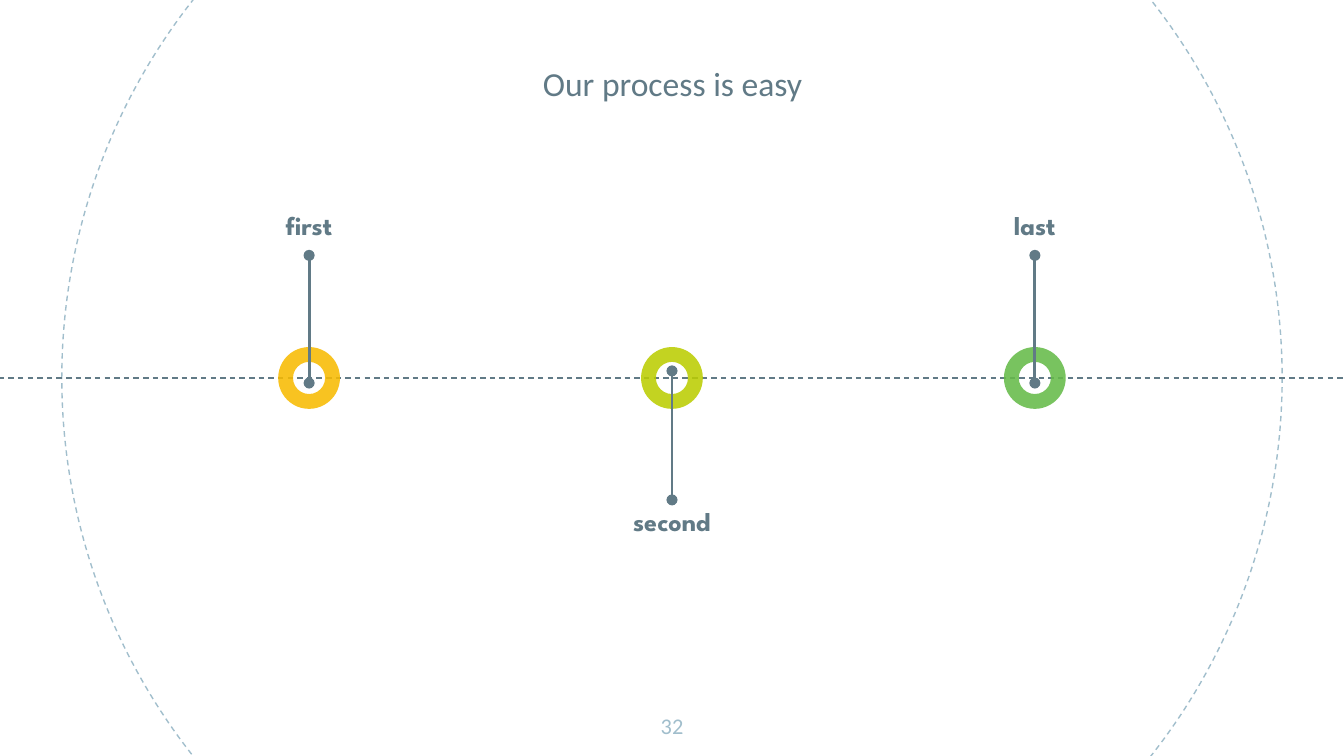
from pptx import Presentation
from pptx.dml.color import RGBColor
from pptx.enum.dml import MSO_LINE_DASH_STYLE as Dash
from pptx.enum.shapes import MSO_CONNECTOR as Connector, MSO_SHAPE as Shape
from pptx.enum.text import MSO_ANCHOR as Anchor, PP_ALIGN as Align
from pptx.oxml.ns import qn
from pptx.util import Inches, Pt
from lxml.etree import SubElement

SLATE, PALE = "617A86", "A1BECC"
WIDTH = 10
HEIGHT = WIDTH * 9 / 16
MIDDLE, AXIS = WIDTH / 2, HEIGHT / 2
STEP = 0.27 * WIDTH
RING = 0.46
hex_color = RGBColor.from_string


def write(box, text, size, font, color, bold=False, anchor=Anchor.TOP):
    frame = box.text_frame
    margins = {f"margin_{side}": Inches(0.1) for side in ("left", "top", "right", "bottom")}
    for name, value in {**margins, "word_wrap": True, "vertical_anchor": anchor}.items():
        setattr(frame, name, value)
    para = frame.paragraphs[0]
    para.alignment = Align.CENTER
    span = para.add_run()
    span.text = text
    for name, value in {"size": Pt(size), "name": font, "bold": bold}.items():
        setattr(span.font, name, value)
    span.font.color.rgb = hex_color(color)


def draw_line(page, start, end, weight, dash=None, dots=False):
    line = page.shapes.add_connector(Connector.STRAIGHT, *map(Inches, start + end))
    line.line.color.rgb = hex_color(SLATE)
    line.line.width = Pt(weight)
    if dash:
        line.line.dash_style = dash
    if dots:
        for tag in ("a:headEnd", "a:tailEnd"):
            SubElement(line.line._get_or_add_ln(), qn(tag), type="oval")
    SubElement(line._element.spPr, qn("a:effectLst"))


deck = Presentation()
deck.slide_width, deck.slide_height = Inches(WIDTH), Inches(HEIGHT)
page = deck.slides.add_slide(deck.slide_layouts[5])

# Large dashed circle and the time axis
radius = 4.54
circle = page.shapes.add_shape(
    Shape.OVAL, Inches(MIDDLE - radius), Inches(AXIS - radius), Inches(2 * radius), Inches(2 * radius))
circle.shadow.inherit = False
circle.fill.background()
circle.line.color.rgb = hex_color(PALE)
circle.line.width = Pt(0.75)
circle.line.dash_style = Dash.DASH
draw_line(page, (-0.01, AXIS), (WIDTH + 0.01, AXIS), 0.75, Dash.DASH)

# Title
title = page.shapes.title
for name, value in {"left": 2.12, "top": 0.17, "width": 5.77, "height": 0.7}.items():
    setattr(title, name, Inches(value))
write(title, "Our process is easy", 18, "Calibri", SLATE, anchor=Anchor.BOTTOM)

# Steps: ring on the axis, dotted stem and label
steps = [
    ("first", "F8BB00", 2.85, 1.9, 1.46),
    ("second", "BBCD00", 2.76, 3.72, 3.66),
    ("last", "65BB48", 2.85, 1.9, 1.46),
]
for index, (label, color, stem_start, stem_end, label_top) in enumerate(steps):
    center = MIDDLE + (index - 1) * STEP
    ring = page.shapes.add_shape(
        Shape.DONUT, Inches(center - RING / 2), Inches(AXIS - RING / 2), Inches(RING), Inches(RING))
    ring.adjustments[0] = 0.24
    ring.shadow.inherit = False
    ring.line.fill.background()
    ring.fill.solid()
    ring.fill.fore_color.rgb = hex_color(color)
    SubElement(ring._element.spPr.find(f"{qn('a:solidFill')}/{qn('a:srgbClr')}"), qn("a:alpha"), val="87000")
    draw_line(page, (center, stem_start), (center, stem_end), 1.5, dots=True)
    box = page.shapes.add_textbox(Inches(center - 0.68), Inches(label_top), Inches(1.36), Inches(0.45))
    write(box, label, 14, "League Spartan", SLATE, bold=True)

# Page number
number = page.shapes.add_textbox(Inches(MIDDLE - 0.26), Inches(5.2), Inches(0.52), Inches(0.43))
write(number, "32", 12, "Calibri", PALE)

deck.save("out.pptx")
